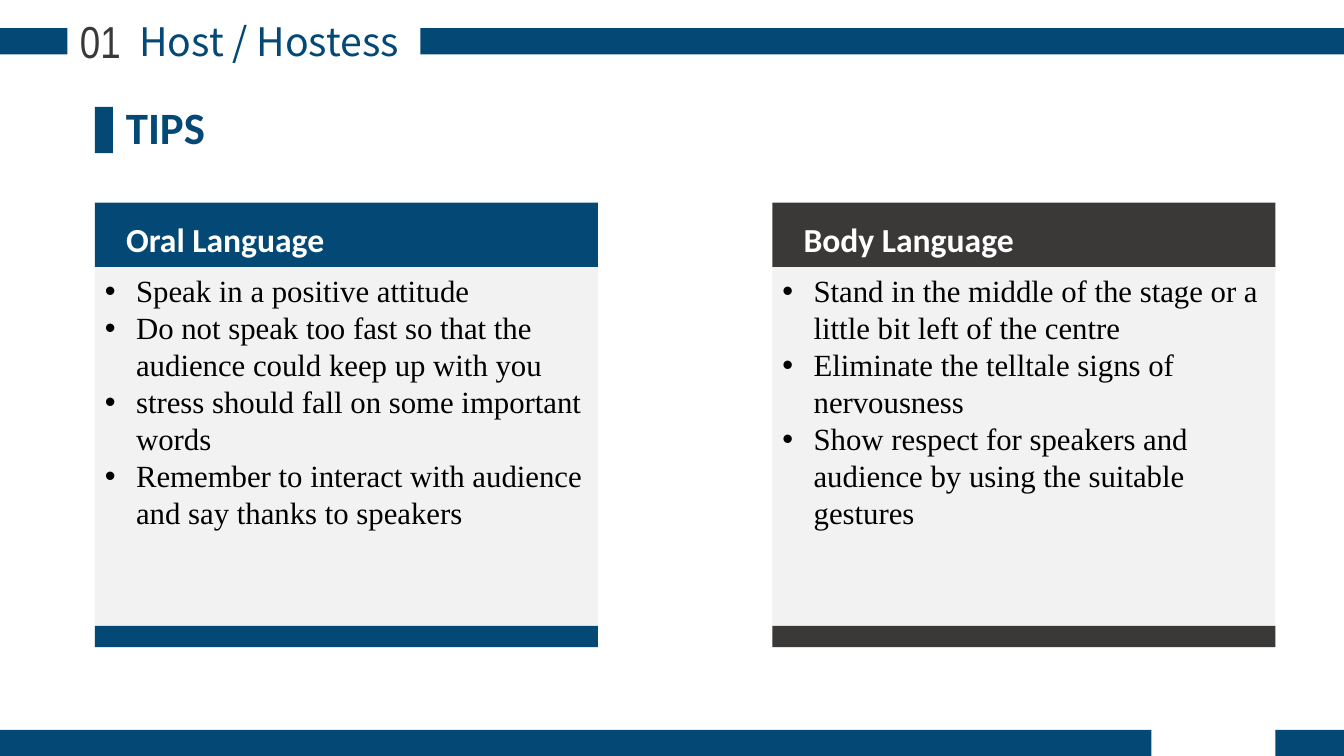
"""Build the Host / Hostess tips slide with two language panels."""
from pptx import Presentation
from pptx.dml.color import RGBColor
from pptx.enum.shapes import MSO_SHAPE as SHAPE
from pptx.enum.text import MSO_ANCHOR as ANCHOR, MSO_AUTO_SIZE as AUTO, PP_ALIGN as ALIGN
from pptx.util import Inches, Pt

BLUE = RGBColor(0x04, 0x48, 0x75)
DARK = RGBColor(0x3B, 0x38, 0x38)
PALE = RGBColor(0xF2, 0xF2, 0xF2)
WHITE = RGBColor(0xFF, 0xFF, 0xFF)
BLACK = RGBColor(0, 0, 0)

W, H = 13.33, 7.5
BAR_H = 0.26
PANEL_W, PANEL_TOP, HEAD_H, LIST_H, FOOT_H = 4.99, 2.01, 0.64, 3.77, 0.21
LEFT, STEP = 0.94, 6.72
INDENT = Inches(0.31)

prs = Presentation()
prs.slide_width, prs.slide_height = Inches(W), Inches(H)
s = prs.slides.add_slide(prs.slide_layouts.get_by_name("Comparison"))


def bar(x, y, w, h, color):
    sp = s.shapes.add_shape(SHAPE.RECTANGLE, *map(Inches, (x, y, w, h)))
    sp.shadow.inherit = False
    sp.fill.solid()
    sp.fill.fore_color.rgb = color
    sp.line.fill.background()


def write(sp, box, lines, font, size, color, bold=False, align=ALIGN.LEFT, fill=None):
    sp.left, sp.top, sp.width, sp.height = map(Inches, box)
    if fill is not None:
        sp.fill.solid()
        sp.fill.fore_color.rgb = fill
    tf = sp.text_frame
    tf.text = "\n".join(lines)
    tf.word_wrap, tf.auto_size, tf.vertical_anchor = True, AUTO.NONE, ANCHOR.TOP
    style = {"name": font, "size": Pt(size), "bold": bold}
    for p in tf.paragraphs:
        p.alignment, p.line_spacing = align, 1.0
        p.space_before = p.space_after = Pt(0)
        for r in p.runs:
            for key, value in style.items():
                setattr(r.font, key, value)
            r.font.color.rgb = color
    return tf


for x, y, w in [(0, 0.28, 0.67), (4.17, 0.28, W - 4.17),
                (0, H - BAR_H, 11.42), (12.65, H - BAR_H, W - 12.65)]:
    bar(x, y, w, BAR_H, BLUE)

write(s.shapes.title, (0.87, 0.12, 3.6, 0.57), ["Host / Hostess"],
      "Noto Sans CJK SC", 28, BLUE, align=ALIGN.CENTER)
number = s.shapes.add_textbox(0, 0, 0, 0)
write(number, (0.6, 0.09, 0.79, 0.64), ["01"], "Arial Narrow", 32, DARK, align=ALIGN.CENTER)

bar(LEFT, 1.06, 0.18, 0.46, BLUE)
tips = s.shapes.add_textbox(0, 0, 0, 0)
tf = write(tips, (1.15, 1.14, 7.22, 0.47), ["TIPS"], "Calibri", 32, BLUE, bold=True)
tf.paragraphs[0].line_spacing = Pt(24)

panels = [
    ("Oral Language", BLUE, [
        "Speak in a positive attitude",
        "Do not speak too fast so that the audience could keep up with you",
        "stress should fall on some important words",
        "Remember to interact with audience and say thanks to speakers"]),
    ("Body Language", DARK, [
        "Stand in the middle of the stage or a little bit left of the centre",
        "Eliminate the telltale signs of nervousness",
        "Show respect for speakers and audience by using the suitable gestures"]),
]
for i, (heading, color, points) in enumerate(panels):
    x = LEFT + i * STEP
    list_top = PANEL_TOP + HEAD_H
    head, body = s.placeholders[1 + 2 * i], s.placeholders[2 + 2 * i]
    tf = write(head, (x, PANEL_TOP, PANEL_W, HEAD_H), [heading],
               "Calibri", 24, WHITE, bold=True, fill=color)
    tf.margin_left, tf.margin_top = INDENT, Inches(0.16)
    tf = write(body, (x, list_top, PANEL_W, LIST_H), points,
               "Times New Roman", 22, BLACK, fill=PALE)
    for p in tf.paragraphs:
        pPr = p._p.get_or_add_pPr()
        pPr.set("marL", str(INDENT))
        pPr.set("indent", str(-INDENT))
    bar(x, list_top + LIST_H - FOOT_H, PANEL_W, FOOT_H, color)

prs.save("out.pptx")
